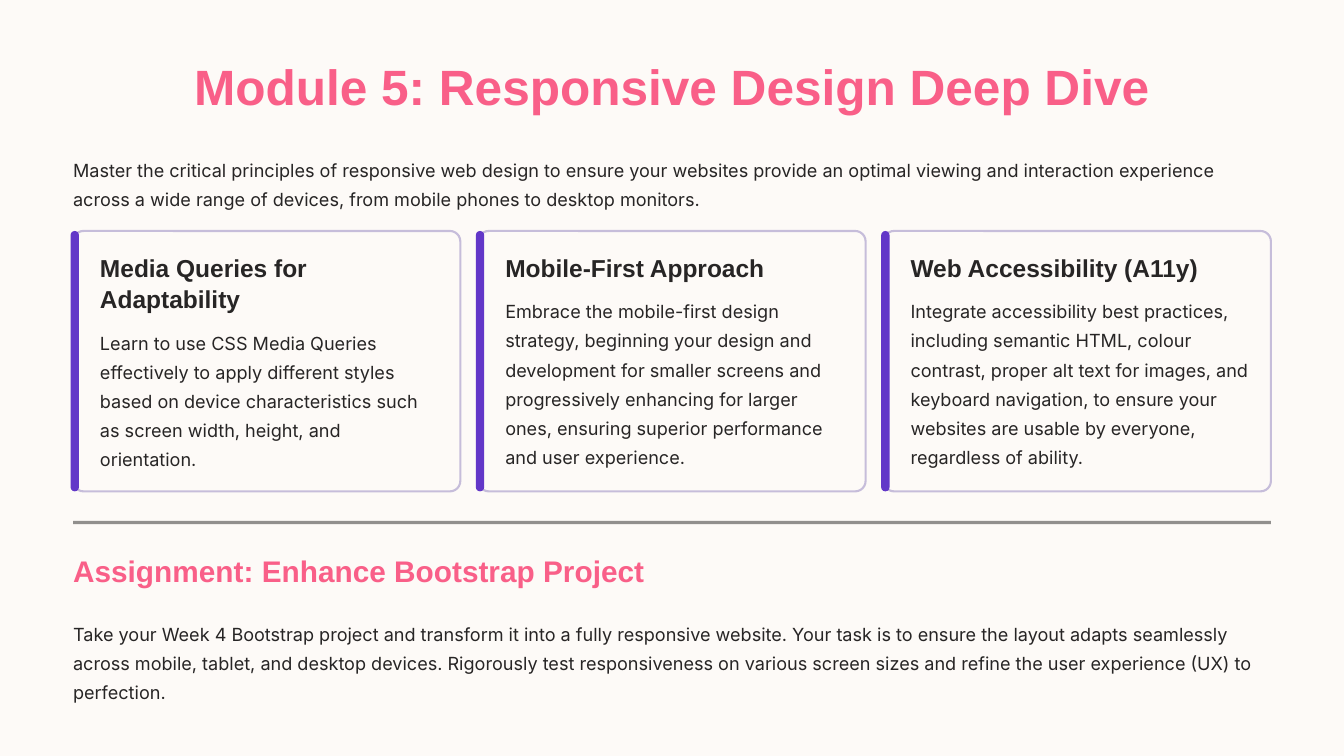
from dataclasses import dataclass

from lxml import etree
from pptx import Presentation
from pptx import util as u
from pptx.dml import color
from pptx.enum import shapes, text
from pptx.oxml import ns

HUES = {"paper": "FDFAF7", "pink": "F95F88", "ink": "272525",
        "edge": "C6BDDA", "bar": "6237C8"}
LEFT, WIDE = 0.87, 14.26
TOP, HIGH = 2.75, 3.1
CARD_W, STEP = 4.61, 4.825
INSET, TEXT_W = 0.32, 4.05
HEAD_Y, HEAD_H, GAP = 2.99, 0.375, 0.125
LINE_H = 25 / 72
FRAME = {"margin_left": 0, "margin_top": 0, "margin_right": 0,
         "margin_bottom": 0, "vertical_anchor": text.MSO_ANCHOR.TOP,
         "auto_size": text.MSO_AUTO_SIZE.NONE}


@dataclass
class Style:
    face: str
    size: float
    lead: float
    hue: str
    bold: bool = False
    align: text.PP_ALIGN = text.PP_ALIGN.LEFT


@dataclass
class Card:
    head: str
    body: str
    head_w: float
    rows: int
    head_rows: int = 1


TITLE = Style("Arial", 42.5, 53.5, "pink", True, text.PP_ALIGN.CENTER)
TASK = Style("Arial", 25.5, 32, "pink", True)
HEAD = Style("Arial", 21, 26.5, "ink", True)
BODY = Style("Inter", 15.5, 25, "ink")

CARDS = [
    Card("Media Queries for Adaptability",
         "Learn to use CSS Media Queries effectively to apply different styles "
         "based on device characteristics such as screen width, height, and "
         "orientation.", TEXT_W, 5, 2),
    Card("Mobile-First Approach",
         "Embrace the mobile-first design strategy, beginning your design and "
         "development for smaller screens and progressively enhancing for "
         "larger ones, ensuring superior performance and user experience.",
         3.11, 6),
    Card("Web Accessibility (A11y)",
         "Integrate accessibility best practices, including semantic HTML, "
         "colour contrast, proper alt text for images, and keyboard "
         "navigation, to ensure your websites are usable by everyone, "
         "regardless of ability.", 3.29, 6),
]
INTRO = ("Master the critical principles of responsive web design to ensure "
         "your websites provide an optimal viewing and interaction experience "
         "across a wide range of devices, from mobile phones to desktop "
         "monitors.")
BRIEF = ("Take your Week 4 Bootstrap project and transform it into a fully "
         "responsive website. Your task is to ensure the layout adapts "
         "seamlessly across mobile, tablet, and desktop devices. Rigorously "
         "test responsiveness on various screen sizes and refine the user "
         "experience (UX) to perfection.")


def tint(name: str) -> color.RGBColor:
    return color.RGBColor.from_string(HUES[name])


def write(shape, words: str, style: Style, wrap: bool = True) -> None:
    frame = shape.text_frame
    for key, value in FRAME.items():
        setattr(frame, key, value)
    frame.word_wrap = wrap
    para = frame.paragraphs[0]
    para.alignment = style.align
    para.line_spacing = u.Pt(style.lead)
    run = para.add_run()
    run.text = words
    looks = {"name": style.face, "size": u.Pt(style.size), "bold": style.bold}
    for key, value in looks.items():
        setattr(run.font, key, value)
    run.font.color.rgb = tint(style.hue)


def add_text(slide, x: float, y: float, w: float, h: float, words: str,
             style: Style, wrap: bool = True) -> None:
    box = slide.shapes.add_textbox(*map(u.Inches, (x, y, w, h)))
    write(box, words, style, wrap)


def add_block(slide, kind, x: float, y: float, w: float, h: float,
              fill: str = "", edge: str = "", curve: float = 0):
    block = slide.shapes.add_shape(kind, *map(u.Inches, (x, y, w, h)))
    block.shadow.inherit = False
    if curve:
        block.adjustments[0] = curve
    if fill:
        block.fill.solid()
        block.fill.fore_color.rgb = tint(fill)
    else:
        block.fill.background()
    if edge:
        block.line.color.rgb = tint(edge)
        block.line.width = u.Pt(1.8)
    else:
        block.line.fill.background()
    return block


def add_card(slide, x: float, card: Card) -> None:
    kind = shapes.MSO_SHAPE.ROUNDED_RECTANGLE
    add_block(slide, kind, x, TOP, CARD_W, HIGH, edge="edge", curve=0.04)
    add_block(slide, kind, x - 0.03, TOP, 0.1, HIGH, fill="bar", curve=0.91)
    head_h = card.head_rows * HEAD_H
    add_text(slide, x + INSET, HEAD_Y, card.head_w, head_h, card.head, HEAD,
             card.head_rows > 1)
    add_text(slide, x + INSET, HEAD_Y + head_h + GAP, TEXT_W,
             card.rows * LINE_H, card.body, BODY)


def add_rule(slide) -> None:
    """Draw the half-transparent line above the assignment."""
    rule = add_block(slide, shapes.MSO_SHAPE.RECTANGLE, LEFT, 6.2, WIDE, 0.04,
                     fill="ink")
    shade = rule.fill._xPr.find(".//" + ns.qn("a:srgbClr"))
    etree.SubElement(shade, ns.qn("a:alpha"), val="50000")


def main() -> None:
    deck = Presentation()
    deck.slide_width, deck.slide_height = u.Inches(16), u.Inches(9)
    slide = deck.slides.add_slide(deck.slide_layouts[5])
    slide.background.fill.solid()
    slide.background.fill.fore_color.rgb = tint("paper")

    title = slide.shapes.title
    place = {"left": 2, "top": 0.63, "width": 12, "height": 0.75}
    for key, value in place.items():
        setattr(title, key, u.Inches(value))
    write(title, "Module 5: Responsive Design Deep Dive", TITLE)

    add_text(slide, LEFT, 1.81, WIDE, 2 * LINE_H, INTRO, BODY)
    for i, card in enumerate(CARDS):
        add_card(slide, LEFT + i * STEP, card)
    add_rule(slide)
    add_text(slide, LEFT, 6.56, 6.47, 0.45,
             "Assignment: Enhance Bootstrap Project", TASK, False)
    add_text(slide, LEFT, 7.33, WIDE, 3 * LINE_H, BRIEF, BODY)
    deck.save("out.pptx")


if __name__ == "__main__":
    main()
